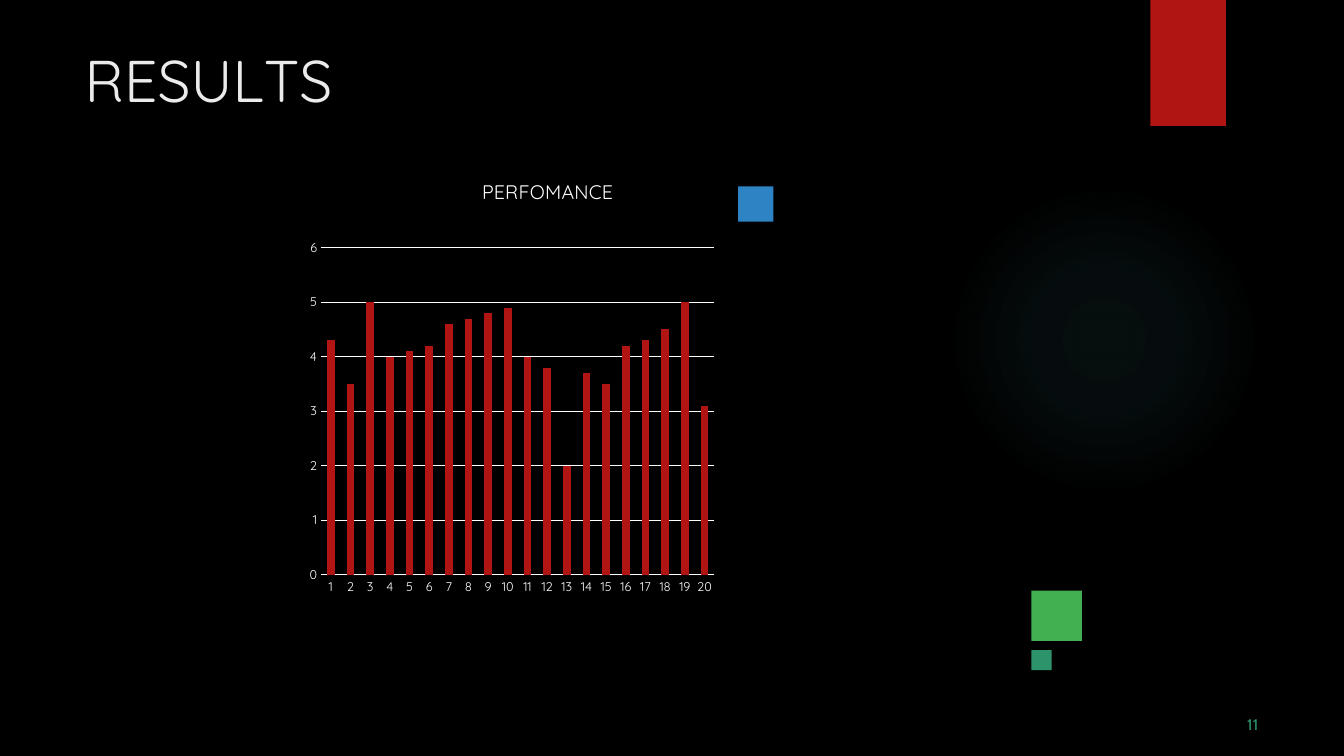
from dataclasses import dataclass

from lxml.etree import SubElement
from pptx import Presentation
from pptx.chart.data import CategoryChartData
from pptx.dml.color import RGBColor
from pptx.enum.chart import XL_CHART_TYPE as ChartType, XL_TICK_MARK as TickMark
from pptx.enum.shapes import MSO_SHAPE as Shape
from pptx.oxml import parse_xml
from pptx.oxml.ns import nsdecls, qn
from pptx.util import Inches, Pt


@dataclass(frozen=True)
class Theme:
    background: str = "000000"
    title: str = "EBEBEB"
    chart_text: str = "FFFFFF"
    red: str = "B01513"
    green: str = "42AF51"
    blue: str = "2D83C3"
    teal: str = "2D936B"
    glow: str = "50B9C1"
    main_font: str = "Quicksand"
    number_font: str = "Cabin"
    title_size: float = 42
    chart_title_size: float = 14
    axis_size: float = 9
    number_size: float = 11


THEME = Theme()
WIDTH, HEIGHT = 13.33, 7.5
SCORES = (4.3, 3.5, 5, 4, 4.1, 4.2, 4.6, 4.7, 4.8, 4.9,
          4, 3.8, 2, 3.7, 3.5, 4.2, 4.3, 4.5, 5, 3.1)


def inches(box):
    return [Inches(length) for length in box]


def style_font(font, name, size, color):
    font.name = name
    font.size = Pt(size)
    font.color.rgb = RGBColor.from_string(color)


def add_block(page, box, color, preset=Shape.RECTANGLE):
    block = page.shapes.add_shape(preset, *inches(box))
    block.shadow.inherit = False
    block.line.fill.background()
    block.fill.solid()
    block.fill.fore_color.rgb = RGBColor.from_string(color)
    return block


def add_glow(page, box):
    glow = add_block(page, box, THEME.glow, Shape.OVAL)
    stops = "".join(
        f'<a:gs pos="{place * 1000}"><a:srgbClr val="{THEME.glow}">'
        f'<a:alpha val="{alpha * 1000}"/></a:srgbClr></a:gs>'
        for place, alpha in ((0, 7), (36, 6), (69, 0), (100, 0)))
    gradient = parse_xml(
        f'<a:gradFill {nsdecls("a")}><a:gsLst>{stops}</a:gsLst><a:path path="circle">'
        '<a:fillToRect l="50000" t="50000" r="50000" b="50000"/></a:path></a:gradFill>')
    properties = glow.fill._xPr
    properties.replace(properties.find(qn("a:solidFill")), gradient)


def add_text(page, box, spans, font_name, size, color, space_before):
    frame = page.shapes.add_textbox(*inches(box)).text_frame
    frame.word_wrap = True
    frame.margin_left = frame.margin_right = frame.margin_bottom = 0
    frame.margin_top = Inches(0.01)
    para = frame.paragraphs[0]
    para.space_before = Pt(space_before)
    style_font(para.font, font_name, size, color)
    for text, spacing in spans:
        span = para.add_run()
        span.text = text
        span.font._element.set("spc", str(round(spacing * 100)))


def add_decoration(page):
    add_glow(page, (9.41, 1.83, 3.08, 3.08))
    add_block(page, (11.41, 0, 0.75, HEIGHT / 6), THEME.red)
    add_block(page, (10.23, 5.86, 0.5, 0.5), THEME.green)
    add_block(page, (7.32, 1.85, 0.35, 0.35), THEME.blue)
    add_block(page, (10.23, 6.45, 0.2, 0.2), THEME.teal)


def set_plot_area(chart, left, top, width, height):
    area = chart._chartSpace.chart.plotArea
    layout = area.find(qn("c:layout"))
    if layout is None:
        layout = parse_xml(f'<c:layout {nsdecls("c")}/>')
        area.insert(0, layout)
    manual = SubElement(layout, qn("c:manualLayout"))
    for tag, value in (("layoutTarget", "inner"), ("xMode", "edge"), ("yMode", "edge"),
                       ("x", left), ("y", top), ("w", width), ("h", height)):
        SubElement(manual, qn(f"c:{tag}")).set("val", str(value))


def style_axis(axis):
    axis.major_tick_mark = axis.minor_tick_mark = TickMark.NONE
    axis.format.line.fill.background()
    style_font(axis.tick_labels.font, THEME.main_font, THEME.axis_size, THEME.chart_text)


def add_performance_chart(page, box):
    data = CategoryChartData()
    data.categories = [str(number) for number in range(1, len(SCORES) + 1)]
    data.add_series("PERFOMANCE", SCORES)
    chart = page.shapes.add_chart(ChartType.COLUMN_CLUSTERED, *inches(box), data).chart
    style_font(chart.font, THEME.main_font, 10, THEME.chart_text)
    chart.has_legend = False
    chart.has_title = True
    heading = chart.chart_title.text_frame
    heading.text = "PERFOMANCE "
    title_font = heading.paragraphs[0].runs[0].font
    style_font(title_font, THEME.main_font, THEME.chart_title_size, THEME.chart_text)
    title_font.bold = False

    plot = chart.plots[0]
    plot.gap_width = 150
    plot.vary_by_categories = False
    columns = plot.series[0].format.fill
    columns.solid()
    columns.fore_color.rgb = RGBColor.from_string(THEME.red)

    style_axis(chart.category_axis)
    values = chart.value_axis
    style_axis(values)
    values.minimum_scale, values.maximum_scale, values.major_unit = 0, 6, 1
    grid = values.major_gridlines.format.line
    grid.width = Pt(0.75)
    grid.color.rgb = RGBColor.from_string(THEME.chart_text)
    set_plot_area(chart, 0.08, 0.195, 0.72, 0.721)


def build_results_page(deck):
    page = deck.slides.add_slide(deck.slide_layouts[6])
    page.background.fill.solid()
    page.background.fill.fore_color.rgb = RGBColor.from_string(THEME.background)
    add_decoration(page)
    title_spans = (("R", 0), ("E", -0.4), ("S", 0.1), ("U", -0.3), ("L", -4), ("TS", 0))
    add_text(page, (0.84, 0.42, 2.67, 0.83), title_spans,
             THEME.main_font, THEME.title_size, THEME.title, 1.1)
    add_text(page, (12.37, 7.08, 0.25, 0.21), (("11", 0.1),),
             THEME.number_font, THEME.number_size, THEME.teal, 0.6)
    add_performance_chart(page, (2.75, 1.58, 5.42, 4.5))


def main():
    deck = Presentation()
    deck.slide_width, deck.slide_height = Inches(WIDTH), Inches(HEIGHT)
    build_results_page(deck)
    deck.save("out.pptx")


if __name__ == "__main__":
    main()
